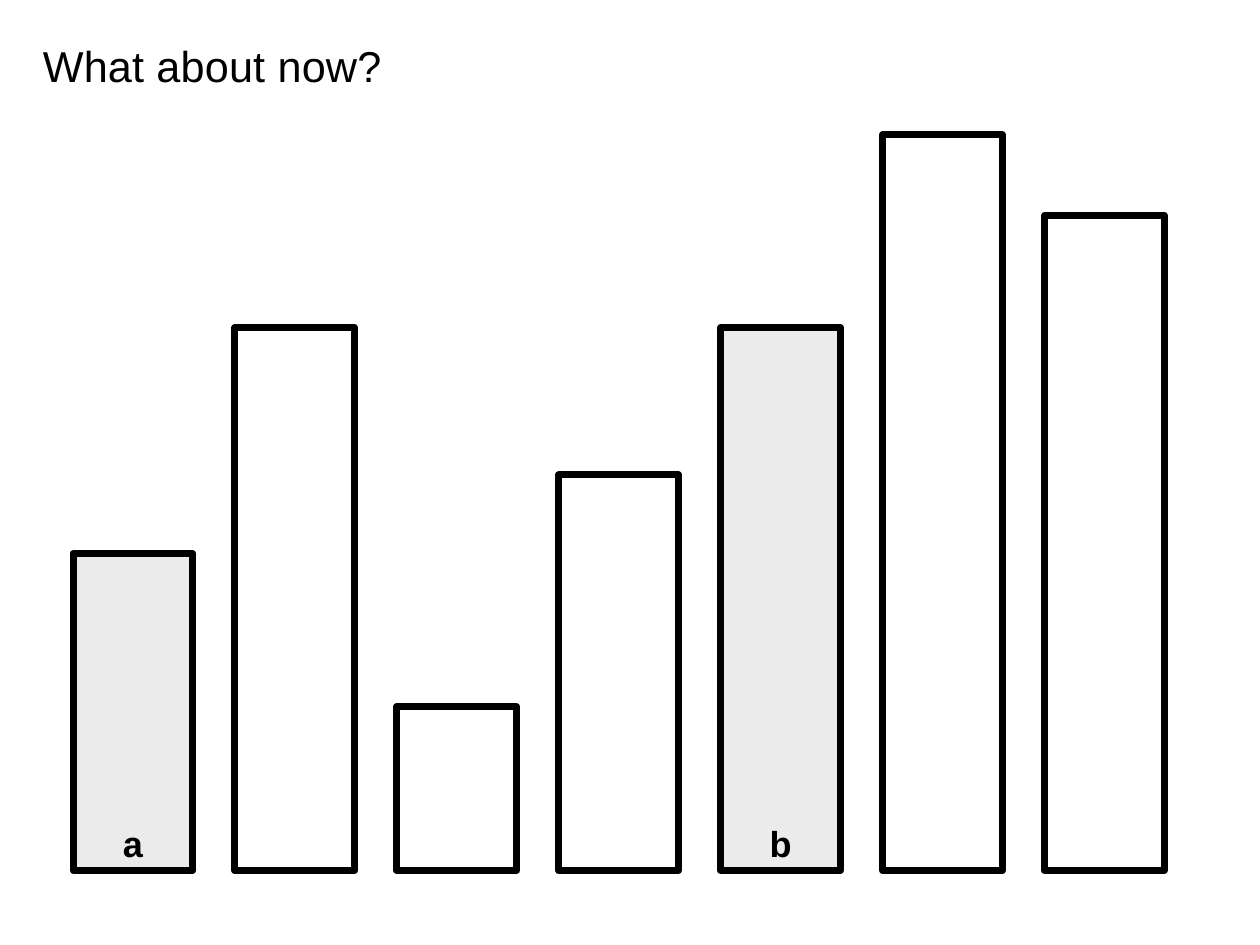
from lxml import etree
from pptx import Presentation
from pptx.dml.color import RGBColor
from pptx.enum.shapes import MSO_SHAPE
from pptx.enum.text import PP_ALIGN
from pptx.oxml.ns import qn
from pptx.util import Inches, Pt

RECTANGLE = MSO_SHAPE.RECTANGLE
LEFT, CENTER = PP_ALIGN.LEFT, PP_ALIGN.CENTER
BLACK = RGBColor(0x00, 0x00, 0x00)
GRAY = RGBColor(0xEB, 0xEB, 0xEB)

BASELINE = 6.91
FIRST_LEFT, BAR_WIDTH, BAR_STEP = 0.58, 0.95, 1.285

# Bar heights in inches, with the label of each marked bar
BARS = [(2.52, "a"), (4.31, ""), (1.3, ""), (3.14, ""),
        (4.31, "b"), (5.84, ""), (5.2, "")]


def add_text(slide, text, left, top, width, height, align, font_format):
    box = slide.shapes.add_textbox(
        Inches(left), Inches(top), Inches(width), Inches(height))
    frame = box.text_frame
    frame.word_wrap = True
    for side in ("left", "top", "right", "bottom"):
        setattr(frame, f"margin_{side}", 0)
    paragraph = frame.paragraphs[0]
    paragraph.alignment = align
    run = paragraph.add_run()
    run.text = text
    run.font.color.rgb = BLACK
    for name, value in font_format.items():
        setattr(run.font, name, value)
    return paragraph


presentation = Presentation()
presentation.slide_width = Inches(10)
presentation.slide_height = Inches(7.5)
slide = presentation.slides.add_slide(presentation.slide_layouts[6])

# Bars standing on a common baseline, marked ones shaded and labelled
for index, (height, label) in enumerate(BARS):
    left = FIRST_LEFT + index * BAR_STEP
    bar = slide.shapes.add_shape(
        RECTANGLE, Inches(left), Inches(BASELINE - height),
        Inches(BAR_WIDTH), Inches(height))
    bar.shadow.inherit = False
    bar.line.color.rgb = BLACK
    bar.line.width = Pt(4)
    etree.SubElement(bar.line._get_or_add_ln(), qn("a:round"))
    if label:
        bar.fill.solid()
        bar.fill.fore_color.rgb = GRAY
        add_text(slide, label, left, 6.52, BAR_WIDTH, 0.35, CENTER,
                 {"name": "Arial", "size": Pt(20.6), "bold": True})
    else:
        bar.fill.background()

# Title
title = add_text(slide, "What about now?", 0.34, 0.31, 5.66, 0.41, LEFT,
                 {"name": "Arial", "size": Pt(24.7)})
title.line_spacing = Pt(29.5)
title.runs[0].font._element.set("spc", "10")

presentation.save("out.pptx")
